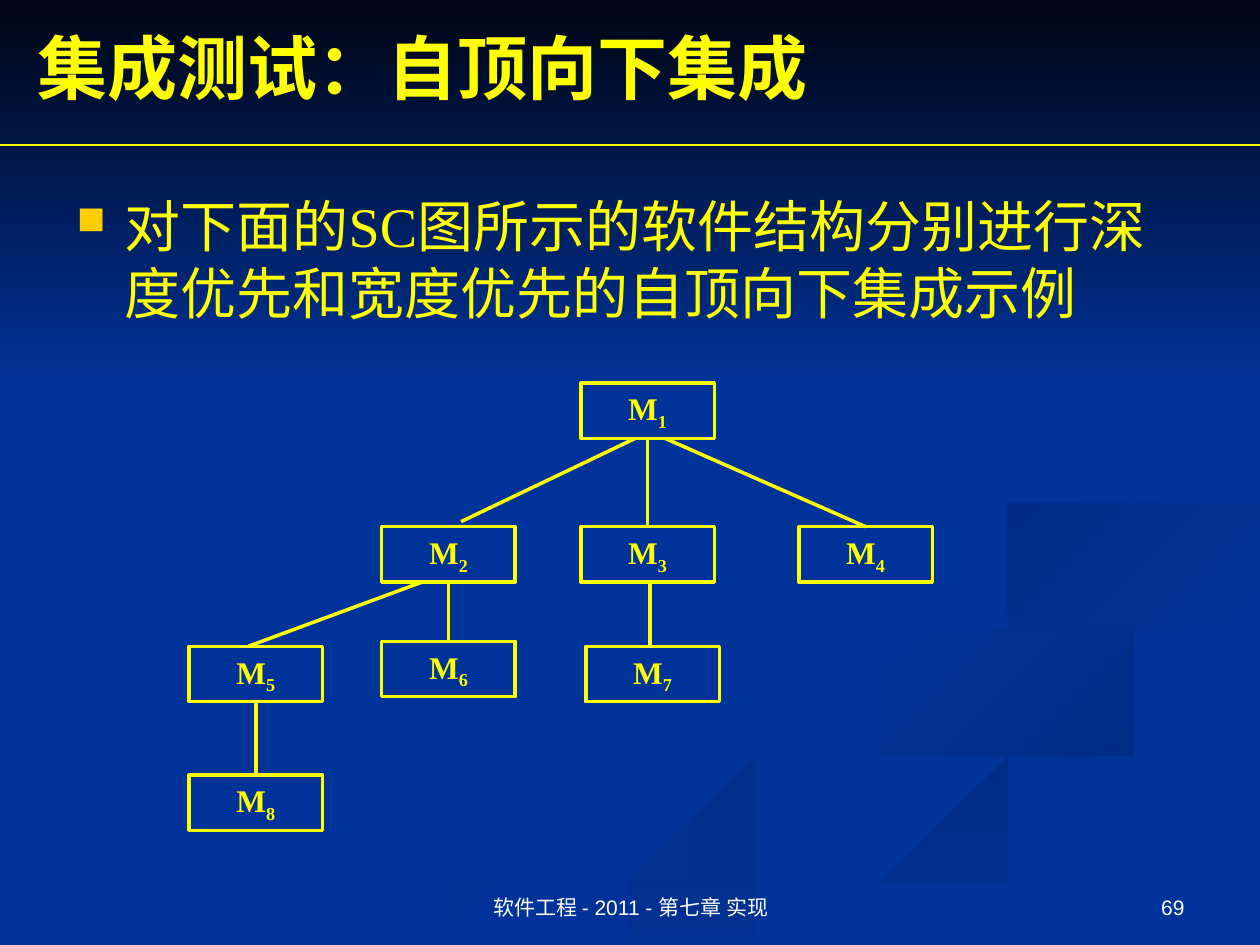
from lxml import etree
from pptx import Presentation
from pptx import util as u
from pptx.dml.color import RGBColor
from pptx.enum import shapes, text
from pptx.oxml.ns import qn

THEME = {
    "blue": RGBColor.from_string("003399"), "night": RGBColor.from_string("000514"),
    "ribbon": RGBColor.from_string("002C85"), "yellow": RGBColor.from_string("FFFF00"),
    "bullet": RGBColor.from_string("FFCC00"), "white": RGBColor.from_string("FFFFFF"),
    "serif": "Times New Roman", "sans": "Arial",
    "title": u.Pt(40), "body": u.Pt(32), "module": u.Pt(18), "small": u.Pt(12),
}

presentation = Presentation()
presentation.slide_width, presentation.slide_height = u.Inches(10), u.Inches(7.5)
UNIT = presentation.slide_width // 10  # the grid has 10 columns and 7.5 rows
slide = presentation.slides.add_slide(presentation.slide_layouts[5])


def grid(*lengths):
    """Turn columns and rows into slide lengths."""
    return [round(length * UNIT) for length in lengths]


def write(shape, words, size, font, ink, align=text.PP_ALIGN.LEFT,
          anchor=text.MSO_ANCHOR.TOP, bold=False):
    """Fill a shape with one paragraph, a run for each string."""
    frame = shape.text_frame
    frame.word_wrap = True
    frame.auto_size = text.MSO_AUTO_SIZE.NONE
    frame.vertical_anchor = anchor
    paragraph = frame.paragraphs[0]
    paragraph.alignment = align
    for word in words:
        run = paragraph.add_run()
        run.text = word
        run.font.size = THEME[size]
        run.font.name = THEME[font]
        run.font.color.rgb = THEME[ink]
        run.font.bold = bold
    return paragraph


# Background ribbons: start colour, end colour, clockwise angle, outline;
# each outline is rounded with a Catmull-Rom curve
slide.background.fill.solid()
slide.background.fill.fore_color.rgb = THEME["blue"]
ribbons = [
    ("ribbon", "blue", 180, [
        (7.81, 5.53), (6.82, 5.19), (6.02, 4.9), (5.75, 4.59), (5.76, 4.8),
        (6.31, 5.05), (7.28, 5.35), (7.86, 5.66), (7.39, 5.98), (5.79, 6.39),
        (4.17, 6.9), (3, 7.49), (3.61, 7.49), (4.99, 6.87), (6.51, 6.4),
        (7.69, 6.09), (8, 5.81)]),
    ("ribbon", "blue", 225, [
        (9.43, 5.7), (9.05, 5.4), (8.11, 5.15), (7.33, 4.83), (7.24, 4.64),
        (7.46, 5), (8.38, 5.36), (9, 5.57), (9.17, 5.85), (8.94, 6.05),
        (9.32, 5.89)]),
    ("ribbon", "blue", 90, [
        (5.03, 7.49), (5.71, 7.49), (6.95, 6.92), (8.21, 6.51), (9.98, 6.09),
        (9.98, 5.81), (9.2, 6.06), (7.64, 6.47), (6.3, 6.93)]),
    ("blue", "ribbon", 225, [
        (7.81, 4.6), (7.91, 4.78), (8.26, 4.96), (8.05, 4.76), (8.28, 4.53),
        (8.96, 4.35), (9.98, 4.2), (9.98, 4.02), (8.98, 4.18), (8.1, 4.37)]),
    ("blue", "ribbon", 225, [
        (6.83, 4.3), (8.07, 4.07), (8.76, 3.78), (8.94, 3.44), (8.64, 2.91),
        (7.62, 2.33), (8.46, 2.79), (8.89, 3.35), (8.52, 3.74), (7.33, 4.04),
        (6.15, 4.29), (5.77, 4.62), (6.22, 5), (5.93, 4.7), (6.24, 4.44)]),
]
STEPS = 6
backdrop = []
for start, end, angle, outline in ribbons:
    curve = []
    for i, b in enumerate(outline):
        a, c, d = [outline[(i + k) % len(outline)] for k in (-1, 1, 2)]
        for t in [step / STEPS for step in range(STEPS)]:
            x, y = [q + t / 2 * (r - p + t * (2 * p - 5 * q + 4 * r - s
                                              + t * (3 * (q - r) + s - p)))
                    for p, q, r, s in zip(a, b, c, d)]
            curve.append((min(x, 10), min(y, 7.5)))
    builder = slide.shapes.build_freeform(*curve[0], scale=UNIT)
    builder.add_line_segments(curve[1:], close=True)
    backdrop.append((builder.convert_to_shape(), start, end, angle))

# Dark band that fades out below the title
band = slide.shapes.add_shape(shapes.MSO_SHAPE.RECTANGLE, *grid(0, 0, 10, 3.08))
backdrop.append((band, "night", "blue", 90))
for shape, start, end, angle in backdrop:
    shape.shadow.inherit = False
    shape.line.fill.background()
    shape.fill.gradient()
    shape.fill.gradient_angle = 360 - angle
    for stop, shade in zip(shape.fill.gradient_stops, (start, end)):
        stop.color.rgb = THEME[shade]

# Title, brought in front of the band
title = slide.shapes.title
title.left, title.top, title.width, title.height = grid(0.2, 0.14, 9.8, 0.77)
write(title, ["集成测试：自顶向下集成"], "title", "serif", "yellow",
      anchor=text.MSO_ANCHOR.MIDDLE, bold=True)
slide.shapes._spTree.append(title._element)

# Bulleted statement
body = slide.shapes.add_textbox(*grid(0.51, 1.47, 9, 1.29))
statement = write(body, ["对下面的SC图所示的软件结构分别进行深度优先和宽度优先的自顶向下集成示例"],
                  "body", "serif", "yellow")
properties = statement._p.get_or_add_pPr()
properties.set("marL", str(u.Inches(0.38)))
properties.set("indent", str(-u.Inches(0.38)))
bullet_color = etree.SubElement(properties, qn("a:buClr"))
etree.SubElement(bullet_color, qn("a:srgbClr"), val=str(THEME["bullet"]))
etree.SubElement(properties, qn("a:buSzPct"), val="70000")
etree.SubElement(properties, qn("a:buChar"), char="■")

# Modules of the structure chart: number -> left, top
modules = {1: (4.61, 3.04), 7: (4.65, 5.13), 6: (3.03, 5.09), 4: (6.34, 4.18),
           3: (4.61, 4.18), 2: (3.03, 4.18), 5: (1.5, 5.13), 8: (1.5, 6.15)}
MODULE_WIDTH, MODULE_HEIGHT = 1.06, 0.44
boxes = {}
for number, corner in modules.items():
    box = slide.shapes.add_shape(shapes.MSO_SHAPE.RECTANGLE,
                                 *grid(*corner, MODULE_WIDTH, MODULE_HEIGHT))
    box.shadow.inherit = False
    box.fill.background()
    box.line.color.rgb = THEME["yellow"]
    box.line.width = u.Pt(2)
    label = write(box, ["M", str(number)], "module", "serif", "yellow",
                  text.PP_ALIGN.CENTER, text.MSO_ANCHOR.MIDDLE, bold=True)
    label.runs[1].font._element.set("baseline", "-25000")
    boxes[number] = box

# Calls: caller, called, sideways shift of each end, gap above the called module
calls = [(1, 2, -0.1, 0.1, 0.04), (2, 5, -0.21, -0.06, 0), (5, 8, 0, 0, 0),
         (2, 6, 0, 0, 0), (1, 3, 0, 0, 0), (3, 7, 0.02, -0.02, 0), (1, 4, 0.14, 0, 0)]
rule = slide.shapes.add_connector(shapes.MSO_CONNECTOR.STRAIGHT, *grid(0, 1.15, 10, 1.15))
lines = [(rule, 0.75)]
for caller, called, start_shift, end_shift, gap in calls:
    (x1, y1), (x2, y2) = modules[caller], modules[called]
    middle = MODULE_WIDTH / 2
    call = slide.shapes.add_connector(shapes.MSO_CONNECTOR.STRAIGHT, *grid(
        x1 + middle + start_shift, y1 + MODULE_HEIGHT, x2 + middle + end_shift, y2 - gap))
    if start_shift == 0:
        call.begin_connect(boxes[caller], 2)
    if end_shift == 0:
        call.end_connect(boxes[called], 0)
    lines.append((call, 2))
for line, width in lines:
    line.line.color.rgb = THEME["yellow"]
    line.line.width = u.Pt(width)
    etree.SubElement(line._element.spPr, qn("a:effectLst"))

# Footer and page number
for left, width, words, align in [
        (3.42, 3.17, "软件工程 - 2011 - 第七章 实现", text.PP_ALIGN.CENTER),
        (7.17, 2.33, "69", text.PP_ALIGN.RIGHT)]:
    footer = slide.shapes.add_textbox(*grid(left, 6.83, width, 0.52))
    write(footer, [words], "small", "sans", "white", align, text.MSO_ANCHOR.BOTTOM)

presentation.save("out.pptx")
